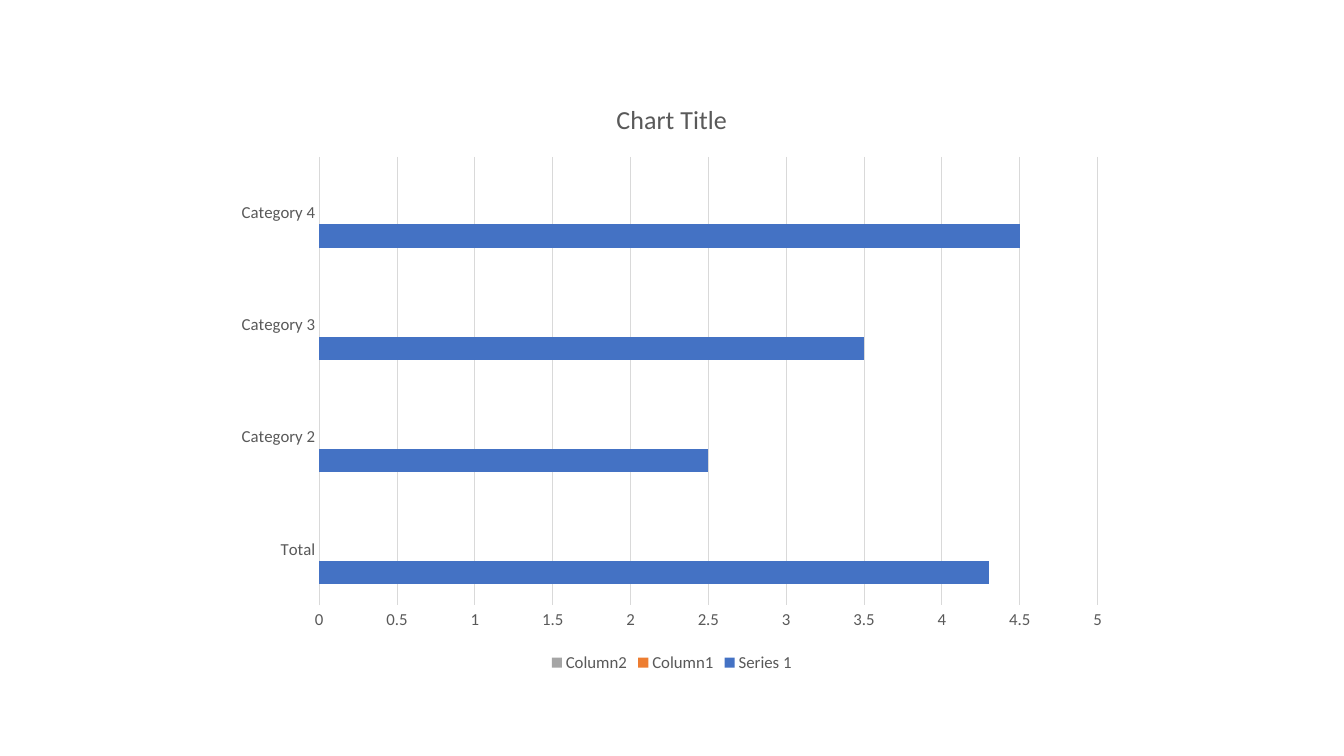
"""Build a slide with one clustered bar chart."""
from pptx import Presentation
from pptx.chart.data import CategoryChartData
from pptx.dml.color import RGBColor
from pptx.enum.chart import XL_CHART_TYPE, XL_LEGEND_POSITION, XL_TICK_MARK
from pptx.util import Cm, Pt

COLORS = {
    "text": "595959",
    "grid": "D9D9D9",
    "Series 1": "4472C4",
    "Column1": "ED7D31",
    "Column2": "A5A5A5",
}
VALUES = {
    "Series 1": (4.3, 2.5, 3.5, 4.5),
    "Column1": (None,) * 4,
    "Column2": (None,) * 4,
}


def style_font(font, size):
    font.name = "Calibri"
    font.size = Pt(size)
    font.bold = False
    font.color.rgb = RGBColor.from_string(COLORS["text"])


def style_line(line):
    line.width = Pt(0.75)
    line.color.rgb = RGBColor.from_string(COLORS["grid"])


prs = Presentation()
prs.slide_width, prs.slide_height = Cm(33.87), Cm(19.05)
slide = prs.slides.add_slide(prs.slide_layouts[6])

data = CategoryChartData()
data.categories = ["Total", "Category 2", "Category 3", "Category 4"]
for name, values in VALUES.items():
    data.add_series(name, values)

chart = slide.shapes.add_chart(
    XL_CHART_TYPE.BAR_CLUSTERED, Cm(5.64), Cm(2), Cm(22.58), Cm(15.05), data
).chart
style_font(chart.font, 12)

chart.has_title = True
title = chart.chart_title.text_frame.paragraphs[0].add_run()
title.text = "Chart Title"
style_font(title.font, 18.6)
chart.chart_title.include_in_layout = False

chart.has_legend = True
chart.legend.position = XL_LEGEND_POSITION.BOTTOM
chart.legend.include_in_layout = False
style_font(chart.legend.font, 12)

for axis in (chart.category_axis, chart.value_axis):
    axis.major_tick_mark = axis.minor_tick_mark = XL_TICK_MARK.NONE
    style_font(axis.tick_labels.font, 12)
style_line(chart.category_axis.format.line)
chart.value_axis.format.line.fill.background()
chart.value_axis.has_major_gridlines = True
style_line(chart.value_axis.major_gridlines.format.line)
chart.value_axis.minimum_scale = 0
chart.value_axis.maximum_scale = 5
chart.value_axis.major_unit = 0.5

bars = chart.plots[0]
bars.gap_width = 182
bars.vary_by_categories = False
for series in bars.series:
    series.invert_if_negative = False
    series.format.fill.solid()
    series.format.fill.fore_color.rgb = RGBColor.from_string(COLORS[series.name])

prs.save("out.pptx")
